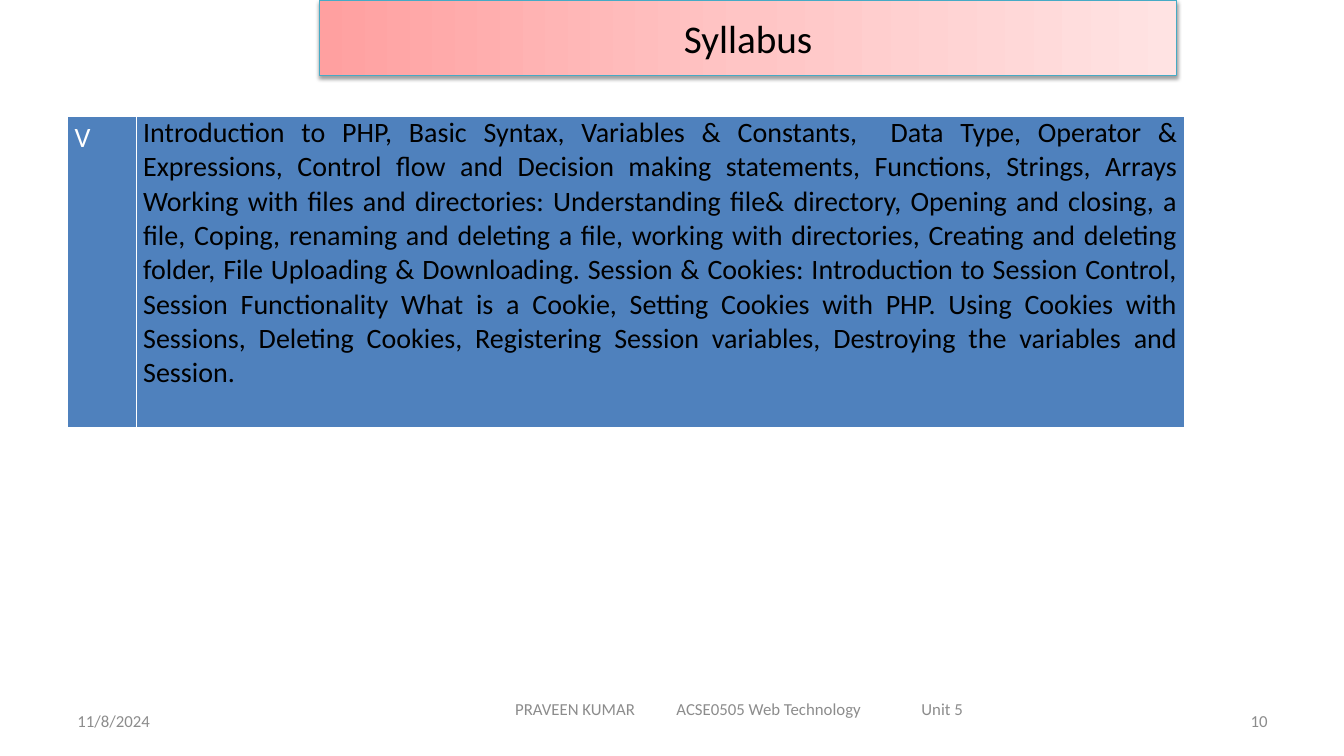
import copy

import lxml.etree
import pptx
import pptx.dml.color
import pptx.enum.shapes
import pptx.enum.text
import pptx.oxml
import pptx.oxml.ns
import pptx.util

Inches = pptx.util.Inches
ALIGN = pptx.enum.text.PP_ALIGN
ANCHOR = pptx.enum.text.MSO_ANCHOR
qn = pptx.oxml.ns.qn

# Content
TITLE = "Syllabus"
UNIT = "V"
TOPICS = (
    "Introduction to PHP, Basic Syntax, Variables & Constants,  Data Type, "
    "Operator & Expressions, Control flow and Decision making statements, "
    "Functions, Strings, Arrays Working with files and directories: "
    "Understanding file& directory, Opening and closing, a file, Coping, "
    "renaming and deleting a file, working with directories, Creating and "
    "deleting folder, File Uploading & Downloading. Session & Cookies: "
    "Introduction to Session Control, Session Functionality What is a Cookie, "
    "Setting Cookies with PHP. Using Cookies with Sessions, Deleting Cookies, "
    "Registering Session variables, Destroying the variables and Session."
)
COURSE = ["PRAVEEN KUMAR", "ACSE0505 Web Technology", "Unit 5"]
COURSE_TABS = [1.6, 4.03]
# text, left, top, width, left margin, alignment, tab stops
FOOTERS = [
    ("11/8/2024", 0.67, 6.95, 3.11, 0.1, ALIGN.LEFT, []),
    ("\t".join(COURSE), 4.75, 6.83, 5.17, 0.36, ALIGN.LEFT, COURSE_TABS),
    ("10", 9.56, 6.95, 3.11, 0.1, ALIGN.RIGHT, []),
]
FOOTER_HEIGHT = 0.4
COLUMNS = [0.68, 10.4]
ROW_HEIGHT = 3.1
BORDERS = {"lnL": 1, "lnR": 1, "lnT": 1, "lnB": 3}
COLORS = {
    "black": "000000", "white": "FFFFFF", "footer": "8C8C8C",
    "cell": "4F81BD", "title line": "46AAC5",
}
TITLE_GRADIENT = [(0, "FFA0A0"), (0.5, "FFC5C5"), (1, "FFE3E3")]


def rgb(value):
    return pptx.dml.color.RGBColor.from_string(value)


def write(frame, text, size, color, align, spacing=None, tabs=()):
    frame.word_wrap = True
    para = frame.paragraphs[0]
    if tabs:
        tab_list = lxml.etree.SubElement(para._p.get_or_add_pPr(), qn("a:tabLst"))
        for stop in tabs:
            lxml.etree.SubElement(tab_list, qn("a:tab"), pos=str(Inches(stop)), algn="l")
    para.alignment = align
    if spacing:
        para.line_spacing = spacing
    span = para.add_run()
    span.text = text
    span.font.name = "Calibri"
    span.font.size = pptx.util.Pt(size)
    span.font.bold = False
    span.font.color.rgb = rgb(COLORS[color])


def set_borders(cell):
    properties = cell._tc.get_or_add_tcPr()
    for index, (side, width) in enumerate(BORDERS.items()):
        line = pptx.oxml.parse_xml(
            f'<a:{side} {pptx.oxml.ns.nsdecls("a")} w="{pptx.util.Pt(width)}">'
            f'<a:solidFill><a:srgbClr val="{COLORS["white"]}"/></a:solidFill></a:{side}>'
        )
        properties.insert(index, line)


deck = pptx.Presentation()
deck.slide_width, deck.slide_height = Inches(13.33), Inches(7.5)
page = deck.slides.add_slide(deck.slide_layouts[6])

# Footer
for text, left, top, width, margin, align, tabs in FOOTERS:
    box = page.shapes.add_textbox(
        Inches(left), Inches(top), Inches(width), Inches(FOOTER_HEIGHT))
    box.text_frame.vertical_anchor = ANCHOR.MIDDLE
    box.text_frame.margin_left = Inches(margin)
    write(box.text_frame, text, 12, "footer", align, tabs=tabs)

# Title banner
banner = page.shapes.add_shape(
    pptx.enum.shapes.MSO_SHAPE.RECTANGLE,
    Inches(3.17), Inches(0), Inches(8.5), Inches(0.75))
banner.fill.gradient()
banner.fill.gradient_angle = 0
stop_list = banner._element.spPr.find(".//" + qn("a:gsLst"))
stop_list.insert(1, copy.deepcopy(stop_list[0]))
for stop, (position, color) in zip(banner.fill.gradient_stops, TITLE_GRADIENT):
    stop.position = position
    stop.color.rgb = rgb(color)
banner.line.color.rgb = rgb(COLORS["title line"])
banner.line.width = pptx.util.Pt(0.75)
banner.shadow.inherit = False
banner._element.spPr.find(qn("a:effectLst")).append(pptx.oxml.parse_xml(
    f'<a:outerShdw {pptx.oxml.ns.nsdecls("a")} blurRad="{pptx.util.Pt(3.1)}" '
    f'dist="{pptx.util.Pt(1.6)}" dir="5400000" rotWithShape="0">'
    f'<a:srgbClr val="{COLORS["black"]}"><a:alpha val="38000"/></a:srgbClr></a:outerShdw>'
))
banner.text_frame.vertical_anchor = ANCHOR.MIDDLE
write(banner.text_frame, TITLE, 28, "black", ALIGN.CENTER)

# Syllabus table
table = page.shapes.add_table(
    1, len(COLUMNS), Inches(0.67), Inches(1.15),
    Inches(sum(COLUMNS)), Inches(ROW_HEIGHT)).table
for column, width in zip(table.columns, COLUMNS):
    column.width = Inches(width)
cells = [(UNIT, "white", 1.15), (TOPICS, "black", None)]
for index, (text, color, spacing) in enumerate(cells):
    cell = table.cell(0, index)
    cell.margin_left = cell.margin_right = Inches(0.07)
    cell.margin_top = cell.margin_bottom = 0
    cell.fill.solid()
    cell.fill.fore_color.rgb = rgb(COLORS["cell"])
    set_borders(cell)
    write(cell.text_frame, text, 20, color, ALIGN.JUSTIFY, spacing)

deck.save("out.pptx")
